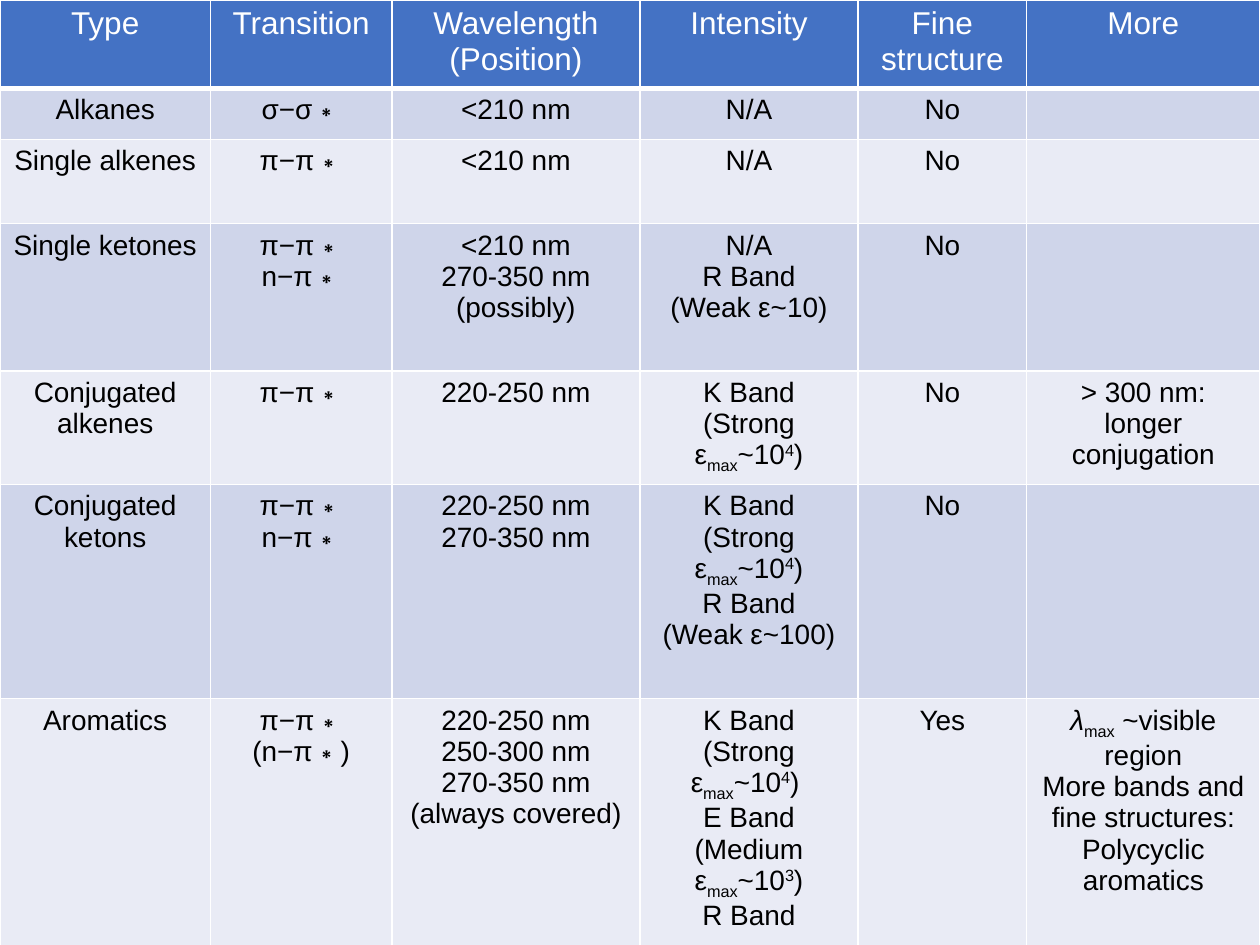
from lxml import etree
from pptx import Presentation
from pptx import util as u
from pptx.dml.color import RGBColor
from pptx.enum import text
from pptx.oxml.ns import qn

# Content: each cell is a list of lines; "|" parts the runs of a line,
# and a run may open with "_" (subscript), "^" (superscript) or "/" (italic).
STRONG = ["K Band", "(Strong", "ε|_max|~10|^4|)"]
HEAD = [["Type"], ["Transition"], ["Wavelength", "(Position)"],
        ["Intensity"], ["Fine structure"], ["More"]]
BODY = [
    [["Alkanes"], ["σ−σ∗"], ["<210 nm"], ["N/A"], ["No"], []],
    [["Single alkenes"], ["π−π∗"], ["<210 nm"], ["N/A"], ["No"], []],
    [["Single ketones"], ["π−π∗", "n−π∗"],
     ["<210 nm", "270-350 nm", "(possibly)"],
     ["N/A", "R Band", "(Weak ε~10)"], ["No"], []],
    [["Conjugated alkenes"], ["π−π∗"], ["220-250 nm"], STRONG, ["No"],
     ["> 300 nm: longer conjugation"]],
    [["Conjugated ketons"], ["π−π∗", "n−π∗"], ["220-250 nm", "270-350 nm"],
     STRONG + ["R Band", "(Weak ε~100)"], ["No"], []],
    [["Aromatics"], ["π−π∗", "(n−π∗)"],
     ["220-250 nm", "250-300 nm", "270-350 nm", "(always covered)"],
     STRONG[:2] + ["ε|_max|~10|^4|) ", "E Band", "(Medium",
                   "ε|_max|~10|^3|)", "R Band"],
     ["Yes"],
     ["/λ|_max| ~visible region", "More bands and fine structures:",
      "Polycyclic aromatics"]],
]
COLS = [1.67, 1.44, 1.97, 1.73, 1.34, 1.85]
ROWS = [0.7, 0.39, 0.67, 1.17, 0.9, 1.7, 1.97]

THEME = {"font": "Arial", "head": "4472C4", "bands": ("CFD5EA", "E9EBF5"),
         "line": "FFFFFF", "light": "FFFFFF", "dark": "000000",
         "big": 18, "small": 16}
SHIFT = {"_": "-25000", "^": "30000"}


def rule(cell, widths):
    """Draw the left, right, top and bottom borders, widths in points."""
    props = cell._tc.get_or_add_tcPr()
    for pos, (side, width) in enumerate(zip("LRTB", widths)):
        line = etree.Element(qn("a:ln" + side), w=str(u.Pt(width)))
        fill = etree.SubElement(line, qn("a:solidFill"))
        etree.SubElement(fill, qn("a:srgbClr"), val=THEME["line"])
        props.insert(pos, line)


def add_run(para, part, size, color):
    mark = part[0] if part[0] in "_^/" else ""
    run = para.add_run()
    run.text = part[len(mark):]
    font = run.font
    font.name, font.size, font.bold = THEME["font"], u.Pt(size), False
    font.color.rgb = RGBColor.from_string(color)
    if mark == "/":
        font.italic = True
    elif mark:
        font._element.set("baseline", SHIFT[mark])


def fill_cell(cell, lines, back, size, color):
    cell.fill.solid()
    cell.fill.fore_color.rgb = RGBColor.from_string(back)
    frame = cell.text_frame
    for num, line in enumerate(lines):
        para = frame.add_paragraph() if num else frame.paragraphs[0]
        para.alignment = text.PP_ALIGN.CENTER
        for part in line.split("|"):
            add_run(para, part, size, color)


def main():
    deck = Presentation()
    deck.slide_width, deck.slide_height = u.Inches(10), u.Inches(7.5)
    slide = deck.slides.add_slide(deck.slide_layouts[6])

    # Table grid
    table = slide.shapes.add_table(
        len(ROWS), len(COLS), 0, 0,
        u.Inches(sum(COLS)), u.Inches(sum(ROWS))).table
    table.first_row = table.horz_banding = False
    for col, width in zip(table.columns, COLS):
        col.width = u.Inches(width)
    for row, height in zip(table.rows, ROWS):
        row.height = u.Inches(height)

    # Header row, then banded body rows
    for r, row in enumerate([HEAD] + BODY):
        if r == 0:
            look = THEME["head"], THEME["big"], THEME["light"]
        else:
            look = THEME["bands"][(r - 1) % 2], THEME["small"], THEME["dark"]
        for c, lines in enumerate(row):
            cell = table.cell(r, c)
            fill_cell(cell, lines, *look)
            rule(cell, (1, 1, 1, 1 if r else 3))

    deck.save("out.pptx")


if __name__ == "__main__":
    main()
